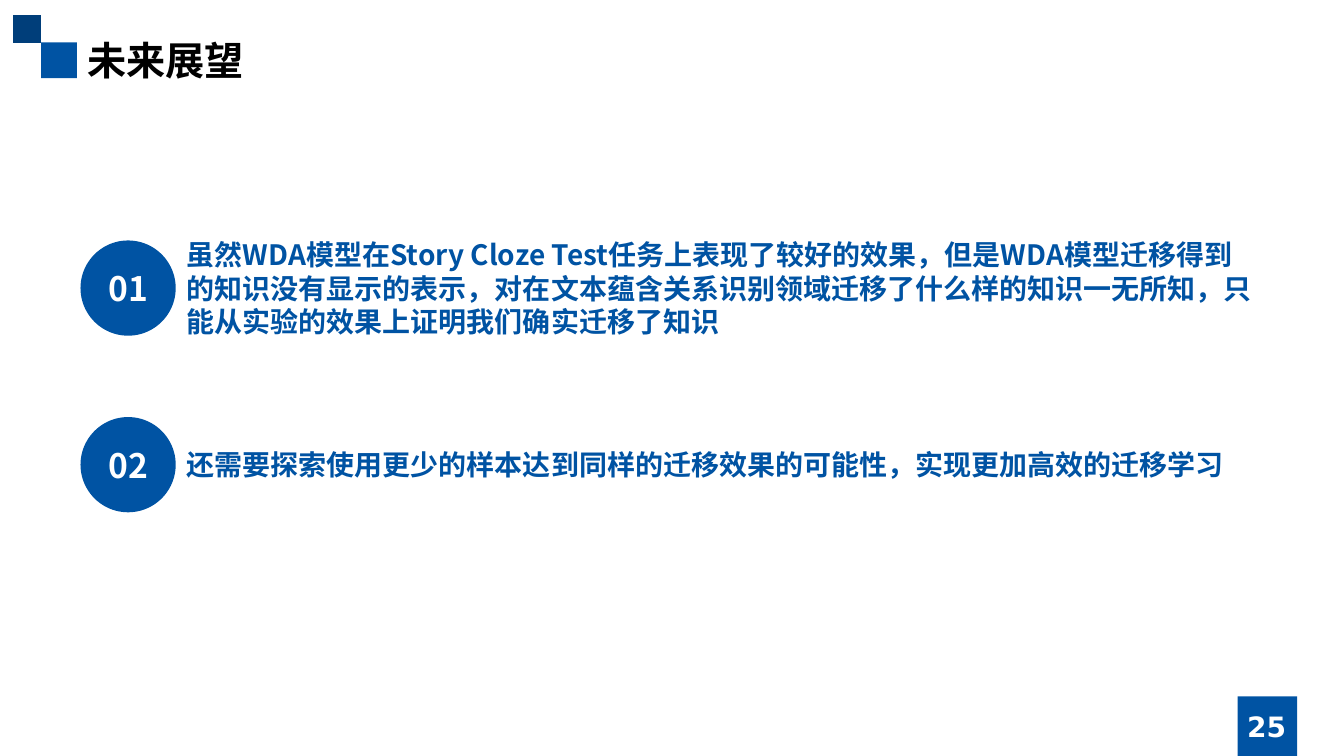
from dataclasses import dataclass
from lxml.etree import SubElement
from pptx import Presentation
from pptx.dml.color import RGBColor
from pptx.enum.shapes import MSO_SHAPE
from pptx.enum.text import MSO_ANCHOR, MSO_AUTO_SIZE, PP_ALIGN
from pptx.oxml.ns import qn
from pptx.util import Cm, Pt

TITLE = "未来展望"
PAGE = "25"
ITEMS = [
    ("01", 3, "虽然WDA模型在Story Cloze Test任务上表现了较好的效果，但是WDA模型迁移得到的知识没有显示的表示，"
              "对在文本蕴含关系识别领域迁移了什么样的知识一无所知，只能从实验的效果上证明我们确实迁移了知识"),
    ("02", 1, "还需要探索使用更少的样本达到同样的迁移效果的可能性，实现更加高效的迁移学习"),
]


@dataclass(frozen=True)
class Theme:
    blue: str = "0053A3"
    navy: str = "003E7A"
    white: str = "FFFFFF"
    black: str = "000000"
    font: str = "Noto Sans CJK SC"
    digit: str = "DejaVu Sans"
    head: int = 28
    mark: int = 24
    body: int = 20


LOOK = Theme()
BLOCKS = [
    (1.04, 1.07, 0.9, LOOK.blue),
    (0.33, 0.38, 0.7, LOOK.navy),
    (31.2, 17.55, 1.5, LOOK.blue),
]
DISC, LEFT, FIRST, STEP = 2.4, 2.03, 7.26, 4.45
LINE, PAD = 0.85, 0.25


def place(shape, left, top, width, height):
    shape.left, shape.top = Cm(left), Cm(top)
    shape.width, shape.height = Cm(width), Cm(height)


def write(shape, text, size, color, font=LOOK.font, align=PP_ALIGN.LEFT,
          anchor=MSO_ANCHOR.MIDDLE, lead=None):
    frame = shape.text_frame
    frame.word_wrap = True
    frame.auto_size = MSO_AUTO_SIZE.NONE
    frame.vertical_anchor = anchor
    para = frame.paragraphs[0]
    props = para._p.get_or_add_pPr()
    props.set("marL", "0")
    props.set("indent", "0")
    SubElement(props, qn("a:buNone"))
    para.alignment = align
    para.space_before = Pt(0)
    if lead:
        para.line_spacing = Pt(size * lead)
    run = para.add_run()
    run.text = text
    run.font.size, run.font.bold, run.font.name = Pt(size), True, font
    run.font.color.rgb = RGBColor.from_string(color)
    SubElement(run._r.get_or_add_rPr(), qn("a:ea")).set("typeface", font)


def block(slide, kind, left, top, side, color):
    shape = slide.shapes.add_shape(kind, Cm(left), Cm(top), Cm(side), Cm(side))
    shape.shadow.inherit = False
    shape.fill.solid()
    shape.fill.fore_color.rgb = RGBColor.from_string(color)
    shape.line.fill.background()
    return shape


def main():
    deck = Presentation()
    deck.slide_width, deck.slide_height = Cm(33.88), Cm(19.05)
    slide = deck.slides.add_slide(deck.slide_layouts.get_by_name("Two Content"))
    title, *bodies = slide.placeholders

    for left, top, side, color in BLOCKS:
        block(slide, MSO_SHAPE.RECTANGLE, left, top, side, color)

    place(title, 1.94, 0.79, 30, 1.45)
    write(title, TITLE, LOOK.head, LOOK.black, anchor=MSO_ANCHOR.TOP, lead=1.2)

    for row, (body, (mark, lines, text)) in enumerate(zip(bodies, ITEMS)):
        mid = FIRST + row * STEP
        disc = block(slide, MSO_SHAPE.OVAL, LEFT, mid - DISC / 2, DISC, LOOK.blue)
        write(disc, mark, LOOK.mark, LOOK.white, align=PP_ALIGN.CENTER)
        tall = lines * LINE + PAD
        place(body, 4.45, mid - tall / 2, 27.5, tall)
        write(body, text, LOOK.body, LOOK.blue, lead=1.2)

    page = slide.shapes.add_textbox(Cm(30), Cm(17.8), Cm(3.86), Cm(1.02))
    write(page, PAGE, LOOK.body, LOOK.white, font=LOOK.digit, align=PP_ALIGN.CENTER)
    deck.save("out.pptx")


if __name__ == "__main__":
    main()
